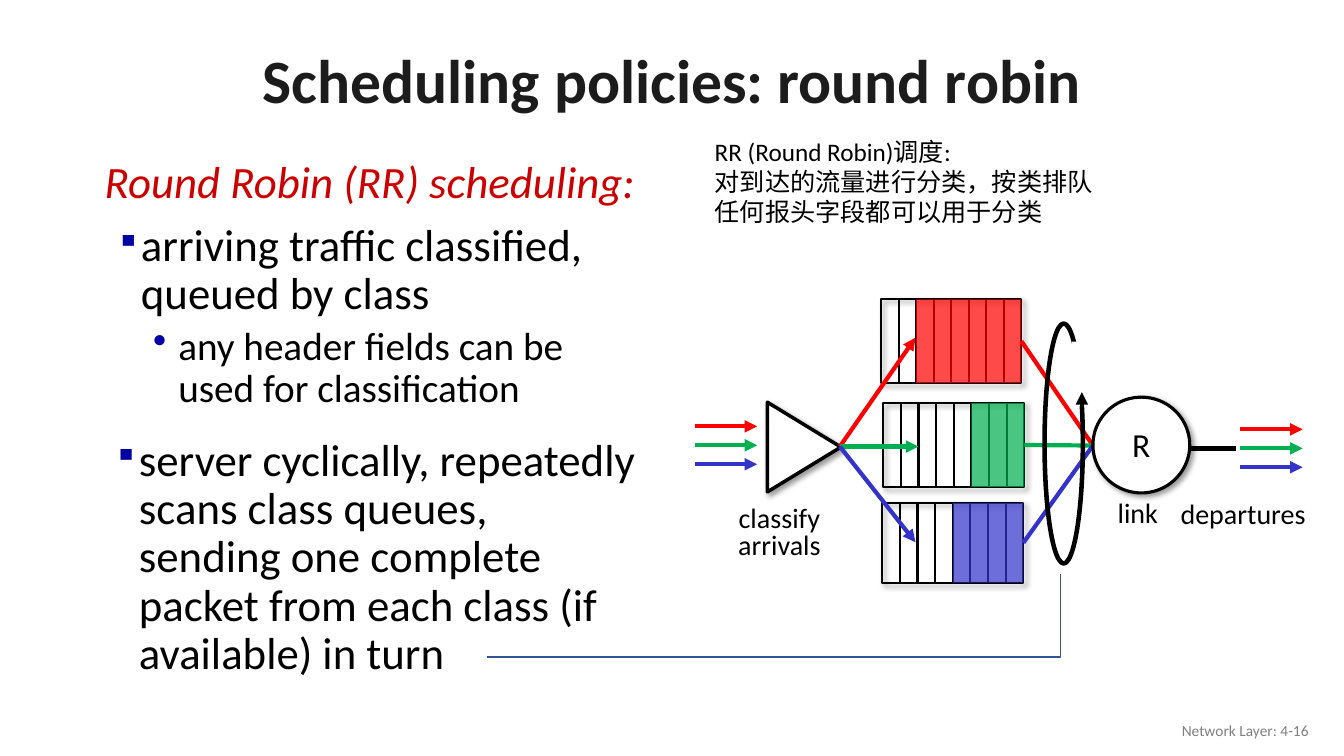
from pptx import Presentation, util as u
from pptx.dml.color import RGBColor
from pptx.enum import shapes, text
from pptx.oxml.ns import qn
from lxml import etree

WIDTH, HEIGHT = 13.33, 7.5
COLUMNS, ROWS = 133.3, 75
RED, GREEN, BLUE = "FF0000", "00B050", "3333CC"
FLOWS = (RED, GREEN, BLUE)
BLACK, WHITE = "000000", "FFFFFF"
KIND = shapes.MSO_SHAPE
ALIGN = text.PP_ALIGN


def rgb(value):
    return RGBColor.from_string(value)


def add_xml(parent, tag, **attributes):
    return etree.SubElement(parent, qn(tag), attributes)


class SlideBuilder:
    font = "Calibri"

    def __init__(self, deck):
        self.page = deck.slides.add_slide(deck.slide_layouts[6])

    def x(self, columns):
        return u.Inches(columns * WIDTH / COLUMNS)

    def y(self, rows):
        return u.Inches(rows * HEIGHT / ROWS)

    def area(self, left, top, width, height):
        return self.x(left), self.y(top), self.x(width), self.y(height)

    def shape(self, kind, area, fill=None, line=None, weight=1.5,
              shadow=False, opacity=None, rotation=0):
        shape = self.page.shapes.add_shape(kind, *self.area(*area))
        shape.rotation = rotation
        self.paint(shape, fill, line, weight)
        if opacity:
            color = shape.element.spPr.find(qn("a:solidFill"))[0]
            add_xml(color, "a:alpha", val=str(opacity * 1000))
        if shadow:
            effects = shape.element.spPr.find(qn("a:effectLst"))
            outer = add_xml(effects, "a:outerShdw", blurRad=str(u.Pt(4)),
                            dist=str(u.Pt(3)), dir="2700000", algn="tl", rotWithShape="0")
            color = add_xml(outer, "a:srgbClr", val=BLACK)
            add_xml(color, "a:alpha", val="40000")
        return shape

    def paint(self, shape, fill, line, weight):
        shape.shadow.inherit = False
        if fill:
            shape.fill.solid()
            shape.fill.fore_color.rgb = rgb(fill)
        else:
            shape.fill.background()
        if line:
            shape.line.color.rgb = rgb(line)
            shape.line.width = u.Pt(weight)
        else:
            shape.line.fill.background()

    def line(self, start, end, color=BLACK, weight=3, arrow=False, source=None):
        connector = self.page.shapes.add_connector(
            shapes.MSO_CONNECTOR.STRAIGHT, self.x(start[0]), self.y(start[1]),
            self.x(end[0]), self.y(end[1]))
        connector.line.color.rgb = rgb(color)
        connector.line.width = u.Pt(weight)
        if arrow:
            outline = connector.element.spPr.find(qn("a:ln"))
            add_xml(outline, "a:tailEnd", type="triangle")
        add_xml(connector.element.spPr, "a:effectLst")
        if source is not None:
            connector.begin_connect(source, 3)

    def polyline(self, points, color, weight):
        corners = [(self.x(column), self.y(row)) for column, row in points]
        builder = self.page.shapes.build_freeform(*corners[0])
        builder.add_line_segments(corners[1:], close=False)
        self.paint(builder.convert_to_shape(), None, color, weight)

    def textbox(self, area, wrap=True, middle=False):
        box = self.page.shapes.add_textbox(*self.area(*area))
        box.text_frame.word_wrap = wrap
        if middle:
            box.text_frame.vertical_anchor = text.MSO_ANCHOR.MIDDLE
        return box.text_frame

    def paragraph(self, frame, words, size, color=BLACK, align=ALIGN.LEFT,
                  spacing=1.0, before=0, indent=None, bullet=None,
                  bold=False, italic=False):
        para = frame.paragraphs[0]
        if para.runs:
            para = frame.add_paragraph()
            para.space_before = u.Pt(before)
        para.text = words
        para.alignment = align
        para.line_spacing = spacing
        properties = para._p.get_or_add_pPr()
        if indent:
            properties.set("marL", str(u.Inches(indent[0])))
            properties.set("indent", str(u.Inches(indent[1])))
        if bullet:
            mark, mark_color, percent = bullet
            add_xml(add_xml(properties, "a:buClr"), "a:srgbClr", val=mark_color)
            add_xml(properties, "a:buSzPct", val=str(percent * 1000))
            add_xml(properties, "a:buChar", char=mark)
        para.font.name = self.font
        para.font.size = u.Pt(size)
        para.font.color.rgb = rgb(color)
        para.font.bold = bold
        para.font.italic = italic

    def label(self, area, lines, size=20):
        frame = self.textbox(area, wrap=False)
        for words in lines:
            self.paragraph(frame, words, size, align=ALIGN.CENTER, spacing=0.8)

    def queue(self, area, empty, color, cells=8):
        left, top, width, height = area
        cell = width / cells
        frame = self.shape(KIND.RECTANGLE, area, line=BLACK, shadow=True)
        for index in range(1, cells):
            column = left + index * cell
            self.line((column, top), (column, top + height), weight=1.5)
        self.shape(KIND.RECTANGLE, (left + empty * cell, top, (cells - empty) * cell, height),
                   fill=color, opacity=71)
        return frame

    def flow_arrows(self, left, top):
        for index, color in enumerate(FLOWS):
            row = top + index * 1.88
            self.line((left, row), (left + 6.2, row), color, arrow=True)


def build_text(slide):
    frame = slide.textbox((9.2, 3.4, 115, 9.8), middle=True)
    slide.paragraph(frame, "Scheduling policies: round robin", 44, "1C1C1C",
                    ALIGN.CENTER, 0.9, bold=True)

    square, dot = ("▪", "0000A3", 75), ("•", "0000A8", 100)
    frame = slide.textbox((7.9, 15.4, 56.4, 27.5))
    slide.paragraph(frame, "Round Robin (RR) scheduling:", 32, "CC0000",
                    spacing=0.9, indent=(0.39, -0.24), italic=True)
    slide.paragraph(frame, "arriving traffic classified, queued by class", 32,
                    spacing=0.9, before=10, indent=(0.51, -0.25), bullet=square)
    slide.paragraph(frame, "any header fields can be used for classification", 28,
                    spacing=0.9, before=5, indent=(0.88, -0.25), bullet=dot)

    frame = slide.textbox((7.7, 42.9, 57, 25.7))
    slide.paragraph(frame, "server cyclically, repeatedly scans class queues,\vsending one "
                    "complete packet from each class (if\vavailable) in turn", 32,
                    spacing=0.9, indent=(0.51, -0.25), bullet=square)

    frame = slide.textbox((69.9, 13, 40.5, 10.1))
    for words in ("RR (Round Robin)调度:", "对到达的流量进行分类，按类排队",
                  "任何报头字段都可以用于分类"):
        slide.paragraph(frame, words, 18)

    frame = slide.textbox((100.8, 70.5, 30, 4), middle=True)
    slide.paragraph(frame, "Network Layer: 4-16", 11, "808080", ALIGN.RIGHT)


def build_diagram(slide):
    slide.line((117.6, 44.5), (122.6, 44.5))
    queues = [slide.queue(area, empty, color) for area, empty, color in (
        ((87.4, 29.7, 13.9, 8.3), 2, RED),
        ((87.6, 40, 14, 8.3), 5, GREEN),
        ((87.5, 49.9, 14, 7.9), 4, BLUE))]
    slide.shape(KIND.ISOSCELES_TRIANGLE, (75.3, 40.7, 8.9, 7.3), WHITE, BLACK, 2.5,
                shadow=True, rotation=90)
    slide.flow_arrows(68.9, 42.3)
    slide.flow_arrows(123, 42.6)

    classifier, server = (83.3, 44.3), (108.4, 44.2)
    entries = ((90.8, 33.5), (91.1, 44.3), (90.8, 53.8))
    for queue, entry, color in zip(queues, entries, FLOWS):
        slide.line(classifier, entry, color, arrow=True)
        slide.line(server, server, color, source=queue)

    slide.shape(KIND.OVAL, (108.4, 39.4, 9.6, 9.5), WHITE, BLACK, 2.25, shadow=True)
    slide.label((71.9, 49.8, 10.8, 6.5), ("classify", "arrivals"))
    slide.label((116, 49.4, 14.6, 3.8), ("departures",))
    slide.label((109.8, 49.3, 6.1, 3.8), ("link",))
    slide.label((111.3, 42.3, 3.8, 4.3), ("R",), 24)

    slide.shape(KIND.OVAL, (103.6, 32.1, 3.8, 23.8), line=BLACK, weight=3.25)
    slide.shape(KIND.RECTANGLE, (106.3, 33.9, 2.1, 6.4), WHITE)
    slide.line((107.3, 41.8), (107.3, 38.9), arrow=True)
    slide.polyline(((48.3, 65.2), (105.2, 65.2), (105.2, 56.9)), "325491", 1)


def main():
    deck = Presentation()
    deck.slide_width, deck.slide_height = u.Inches(WIDTH), u.Inches(HEIGHT)
    slide = SlideBuilder(deck)
    build_diagram(slide)
    build_text(slide)
    deck.save("out.pptx")


if __name__ == "__main__":
    main()
